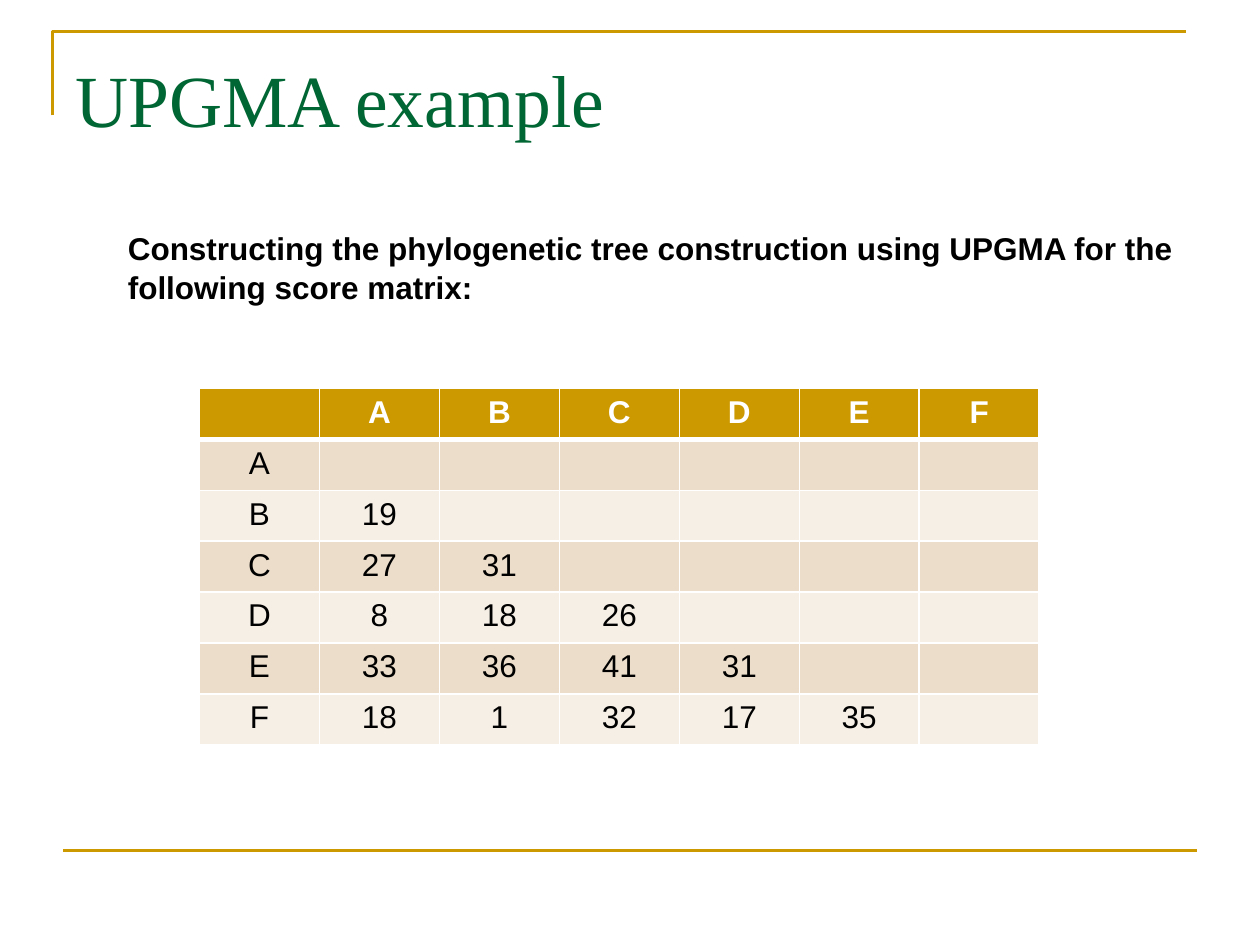
from lxml import etree
from pptx import Presentation
from pptx.dml.color import RGBColor
from pptx.enum import shapes, text
from pptx.oxml import ns
from pptx.util import Pt

COLORS = {
    "gold": "CC9900",
    "green": "006633",
    "black": "000000",
    "white": "FFFFFF",
    "dark_band": "ECDDCA",
    "light_band": "F6EFE6",
}
TAXA = "ABCDEF"
SCORES = [
    [],
    [19],
    [27, 31],
    [8, 18, 26],
    [33, 36, 41, 31],
    [18, 1, 32, 17, 35],
]
COLUMN_WIDTH = 68.57
ROW_HEIGHT = 29.1


def rgb(name):
    return RGBColor.from_string(COLORS[name])


def style_paragraph(paragraph, size, face, color, bold=False):
    font = paragraph.font
    font.size = Pt(size)
    font.name = face
    font.bold = bold
    font.color.rgb = rgb(color)


def style_rule(rule):
    rule.line.color.rgb = rgb("gold")
    rule.line.width = Pt(1.5)


def add_title(slide, wording):
    title = slide.shapes.title
    title.left, title.top, title.width, title.height = Pt(36), Pt(21.6), Pt(648), Pt(90)
    frame = title.text_frame
    frame.text = wording
    frame.auto_size = text.MSO_AUTO_SIZE.NONE
    frame.vertical_anchor = text.MSO_ANCHOR.TOP
    frame.margin_top = Pt(9)
    heading = frame.paragraphs[0]
    heading.alignment = text.PP_ALIGN.LEFT
    style_paragraph(heading, 42, "Times New Roman", "green")


def add_corner_rule(slide):
    builder = slide.shapes.build_freeform(Pt(30), Pt(66), scale=1.0)
    builder.add_line_segments([(Pt(30), Pt(18)), (Pt(678), Pt(18))], close=False)
    corner = builder.convert_to_shape()
    corner.shadow.inherit = False
    corner.fill.background()
    style_rule(corner)


def add_footer_rule(slide):
    footer = slide.shapes.add_connector(
        shapes.MSO_CONNECTOR.STRAIGHT, Pt(36), Pt(486), Pt(684), Pt(486))
    etree.SubElement(footer._element.spPr, ns.qn("a:effectLst"))
    style_rule(footer)


def add_task(slide, lines):
    task = slide.shapes.add_textbox(Pt(66), Pt(126), Pt(623), Pt(51))
    frame = task.text_frame
    frame.word_wrap = True
    frame.text = "\n".join(lines)
    for paragraph in frame.paragraphs:
        paragraph.line_spacing = 1.05
        style_paragraph(paragraph, 18, "Arial", "black", bold=True)


def add_borders(cell, widths):
    properties = cell._tc.get_or_add_tcPr()
    for side, width in widths.items():
        border = etree.SubElement(properties, ns.qn(f"a:ln{side}"), w=str(Pt(width)))
        fill = etree.SubElement(border, ns.qn("a:solidFill"))
        etree.SubElement(fill, ns.qn("a:srgbClr"), val=COLORS["white"])


def fill_cell(cell, wording, row):
    header = row == 0
    add_borders(cell, {"L": 1, "R": 1, "T": 3 if row == 1 else 1, "B": 3 if header else 1})
    band = "gold" if header else "dark_band" if row % 2 else "light_band"
    cell.fill.solid()
    cell.fill.fore_color.rgb = rgb(band)
    cell.text = wording
    entry = cell.text_frame.paragraphs[0]
    entry.alignment = text.PP_ALIGN.CENTER
    style_paragraph(entry, 18, "Arial", "white" if header else "black", bold=header)


def add_score_matrix(slide):
    size = len(TAXA) + 1
    matrix = slide.shapes.add_table(
        size, size, Pt(114), Pt(222), Pt(COLUMN_WIDTH * size), Pt(ROW_HEIGHT * size)).table
    for column in matrix.columns:
        column.width = Pt(COLUMN_WIDTH)
    entries = [["", *TAXA]] + [[taxon, *scores] for taxon, scores in zip(TAXA, SCORES)]
    for r, values in enumerate(entries):
        matrix.rows[r].height = Pt(ROW_HEIGHT)
        for c in range(size):
            fill_cell(matrix.cell(r, c), str(values[c]) if c < len(values) else "", r)


def main():
    deck = Presentation()
    deck.slide_width, deck.slide_height = Pt(720), Pt(540)
    slide = deck.slides.add_slide(deck.slide_layouts[5])
    add_corner_rule(slide)
    add_footer_rule(slide)
    add_title(slide, "UPGMA example")
    add_task(slide, [
        "Constructing the phylogenetic tree construction using UPGMA for the",
        "following score matrix:",
    ])
    add_score_matrix(slide)
    deck.save("out.pptx")


if __name__ == "__main__":
    main()
